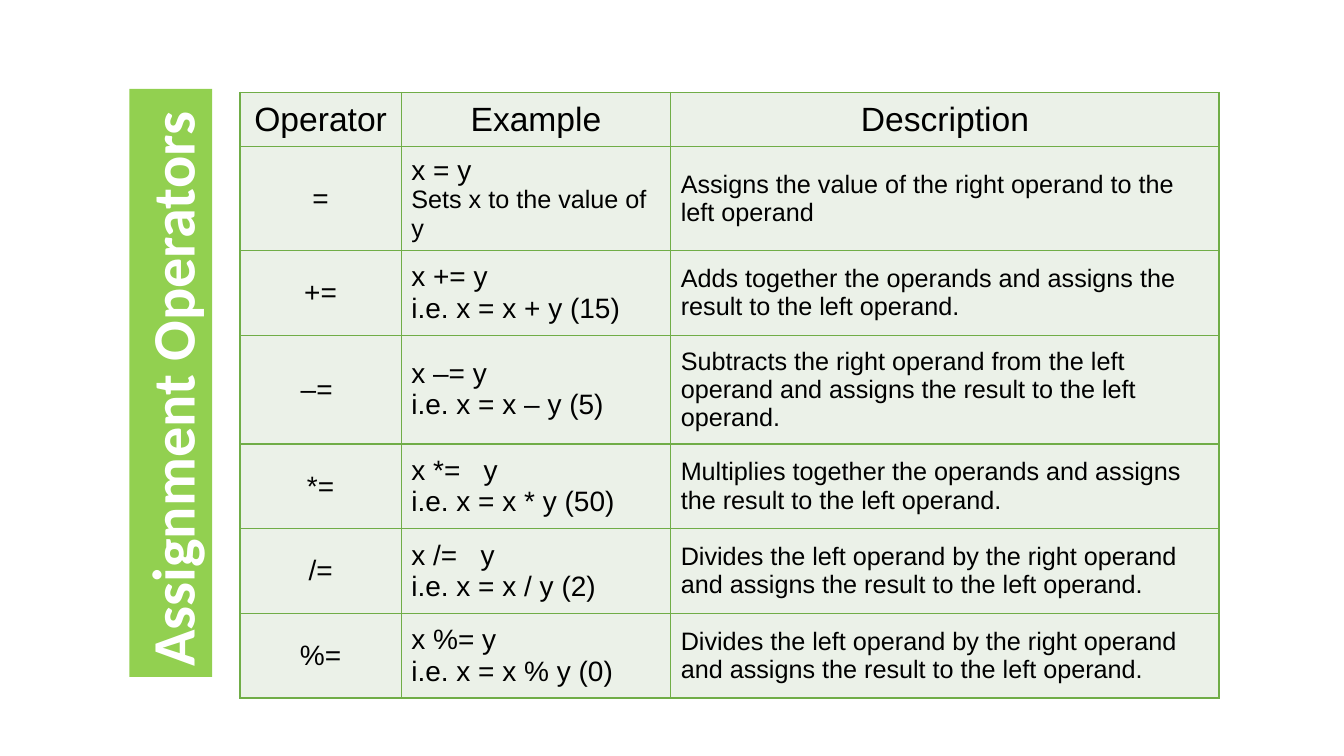
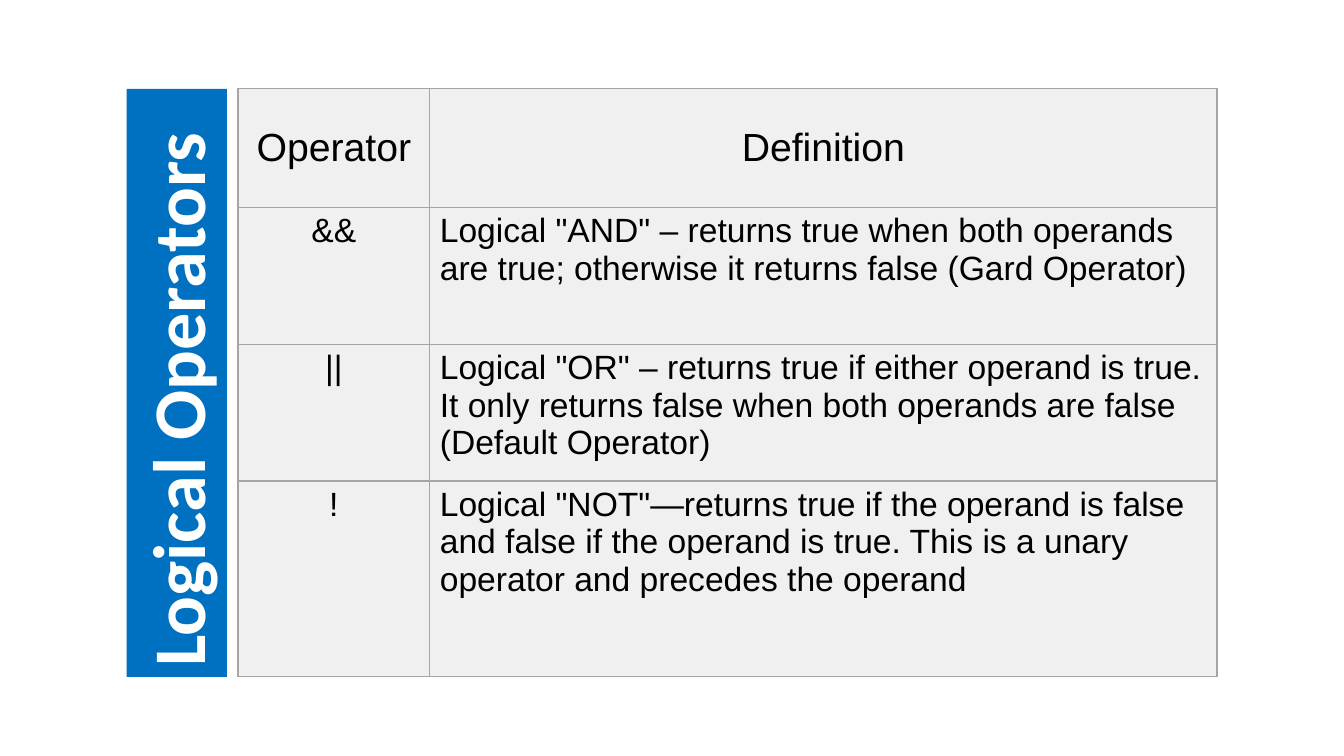
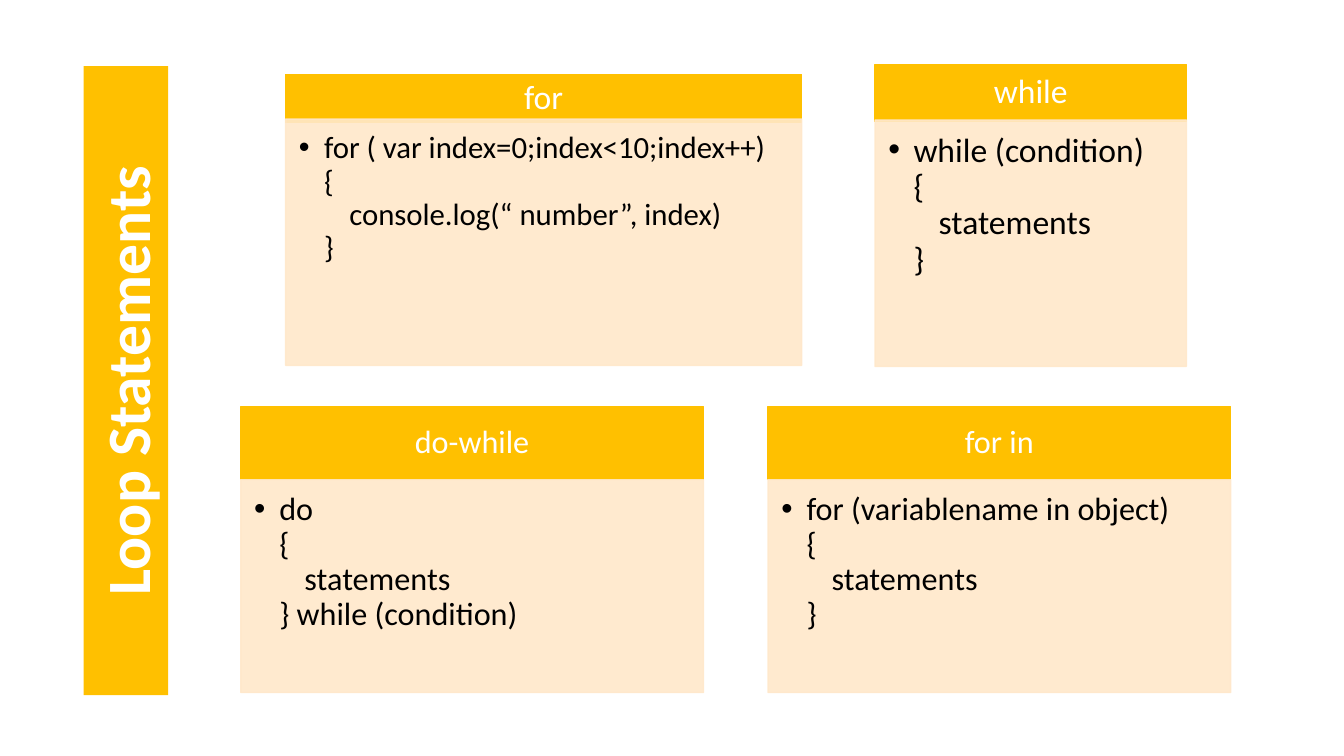
from lxml.etree import SubElement
from pptx import Presentation
from pptx.dml.color import RGBColor
from pptx.enum.shapes import MSO_SHAPE
from pptx.enum.text import MSO_ANCHOR, MSO_AUTO_SIZE, PP_ALIGN
from pptx.oxml.ns import qn
from pptx.util import Pt

BLACK, WHITE = "000000", "FFFFFF"
GREEN, LEAF, MINT = "92D050", "70AD47", "EBF1E8"
BLUE, GREY, PALE = "0070C0", "A5A5A5", "F0F0F0"
GOLD, CREAM = "FFC000", "FFE8CA"
HEAD, BODY = "Calibri", "Arial"
TOP, MID = MSO_ANCHOR.TOP, MSO_ANCHOR.MIDDLE
LEFT, MIDST = PP_ALIGN.LEFT, PP_ALIGN.CENTER

ASSIGN = [
    ("Operator", "Example", "Description"),
    ("=", "x = y\nSets x to the value of y",
     "Assigns the value of the right operand to the left operand"),
    ("+=", "x += y\ni.e. x = x + y (15)",
     "Adds together the operands and assigns the result to the left operand."),
    ("–= ", "x –= y\ni.e. x = x – y (5)",
     "Subtracts the right operand from the left operand and assigns "
     "the result to the left operand."),
    ("*=", "x *=   y\ni.e. x = x * y (50)",
     "Multiplies together the operands and assigns the result to the left operand."),
    ("/=", "x /=   y\ni.e. x = x / y (2)",
     "Divides the left operand by the right operand and assigns "
     "the result to the left operand."),
    ("%=", "x %= y\ni.e. x = x % y (0)",
     "Divides the left operand by the right operand and assigns "
     "the result to the left operand."),
]

LOGIC = [
    ("Operator", "Definition"),
    ("&&", 'Logical "AND" – returns true when both operands are true; '
           "otherwise it returns false (Gard Operator)"),
    ("||", 'Logical "OR" – returns true if either operand is true. It only returns '
           "false when both operands are false (Default Operator)"),
    ("!", 'Logical "NOT"—returns true if the operand is false and false if the '
          "operand is true. This is a unary operator and precedes the operand"),
]

# title, code, title size, code size, title box, code box
LOOPS = [
    ("do-while", "do\n{\n\tstatements\n} while (condition)", 23, 23,
     (172, 290.2, 330.5, 52), (172, 342.7, 330.5, 152)),
    ("for in", "for (variablename in object)\n{\n\tstatements\n}", 23, 23,
     (548.6, 290.2, 330.5, 52), (548.6, 342.7, 330.5, 152)),
    ("for", "for ( var index=0;index<10;index++)\n{\n"
            "\tconsole.log(“ number”, index)\n}", 24, 22,
     (204, 53, 368.6, 34.6), (204, 85, 368.6, 176)),
    ("while", "while (condition)\n{\n\tstatements\n}", 24, 24,
     (625, 46, 222.5, 41), (625, 85.7, 222.5, 176)),
]


def tint(hue):
    return RGBColor.from_string(hue)


def write(par, text, size, hue, face, bold=False):
    """Add text to a paragraph, with a line break at each newline."""
    for num, line in enumerate(text.split("\n")):
        if num:
            par.add_line_break()
        run = par.add_run()
        run.text = line
        font = run.font
        font.size, font.name, font.bold = Pt(size), face, bold
        font.color.rgb = tint(hue)


def start(deck, text, size, hue, box, align=LEFT):
    """Add a slide whose title reads upwards in a band that covers box."""
    slide = deck.slides.add_slide(deck.slide_layouts[5])
    left, top, wide, high = box
    title = slide.shapes.title
    title.left, title.top = Pt(left + (wide - high) / 2), Pt(top + (high - wide) / 2)
    title.width, title.height = Pt(high), Pt(wide)
    title.rotation = 270
    title.fill.solid()
    title.fill.fore_color.rgb = tint(hue)
    frame = title.text_frame
    frame.word_wrap, frame.auto_size = True, MSO_AUTO_SIZE.NONE
    frame.vertical_anchor = TOP
    par = frame.paragraphs[0]
    par.alignment = align
    write(par, text, size, WHITE, HEAD, True)
    return slide


def edge(cell, hue):
    """Draw a thin line on all four sides of a cell."""
    props = cell._tc.get_or_add_tcPr()
    for side in ("lnL", "lnR", "lnT", "lnB"):
        line = SubElement(props, qn("a:" + side), w=str(Pt(1)))
        fill = SubElement(line, qn("a:solidFill"))
        SubElement(fill, qn("a:srgbClr"), val=hue)


def grid(slide, data, spot, cols, rows, sizes, top_size, hues, anchor):
    """Add a table; sizes holds one text size per column below the top row."""
    line, back = hues
    table = slide.shapes.add_table(len(rows), len(cols), Pt(spot[0]), Pt(spot[1]),
                                   Pt(sum(cols)), Pt(sum(rows))).table
    table.first_row = table.horz_banding = False
    for col, wide in zip(table.columns, cols):
        col.width = Pt(wide)
    for row, high in zip(table.rows, rows):
        row.height = Pt(high)
    for r, texts in enumerate(data):
        for c, text in enumerate(texts):
            cell = table.cell(r, c)
            edge(cell, line)
            cell.fill.solid()
            cell.fill.fore_color.rgb = tint(back)
            cell.vertical_anchor = anchor if r else MID
            frame = cell.text_frame
            for num, part in enumerate(text.split("\n")):
                par = frame.add_paragraph() if num else frame.paragraphs[0]
                par.alignment = LEFT if r and c else MIDST
                write(par, part, sizes[c] if r else top_size, BLACK, BODY)
    return table


def block(slide, box, hue, pads, anchor, align):
    """Add a plain filled box; return the shape and its first paragraph."""
    shape = slide.shapes.add_shape(MSO_SHAPE.RECTANGLE, *map(Pt, box))
    shape.shadow.inherit = False
    shape.fill.solid()
    shape.fill.fore_color.rgb = shape.line.color.rgb = tint(hue)
    shape.line.width = Pt(1)
    frame = shape.text_frame
    frame.word_wrap, frame.vertical_anchor = True, anchor
    (frame.margin_left, frame.margin_top,
     frame.margin_right, frame.margin_bottom) = map(Pt, pads)
    par = frame.paragraphs[0]
    par.alignment, par.line_spacing = align, 0.9
    return shape, par


def fade(shape):
    """Make fill and line slightly see-through."""
    for mark in shape._element.spPr.iter(qn("a:srgbClr")):
        SubElement(mark, qn("a:alpha"), val="90000")


def dot(par):
    """Give a paragraph a black bullet and a hanging indent."""
    props = par._p.get_or_add_pPr()
    props.set("marL", str(Pt(18)))
    props.set("indent", str(Pt(-18)))
    hue = SubElement(props, qn("a:buClr"))
    SubElement(hue, qn("a:srgbClr"), val=BLACK)
    SubElement(props, qn("a:buFont"), typeface=BODY)
    SubElement(props, qn("a:buChar"), char="•")


def card(slide, name, code, name_size, code_size, name_box, code_box):
    _, par = block(slide, name_box, GOLD, (13, 7.5, 13, 7.5), MID, MIDST)
    write(par, name, name_size, WHITE, HEAD)
    shape, par = block(slide, code_box, CREAM, (9.5, 9.5, 13, 14), TOP, LEFT)
    fade(shape)
    dot(par)
    write(par, code, code_size, BLACK, HEAD)


def main():
    deck = Presentation()
    deck.slide_width, deck.slide_height = Pt(960), Pt(540)

    slide = start(deck, "Assignment Operators", 43, GREEN, (92.5, 63.5, 59, 420))
    table = grid(slide, ASSIGN, (171.4, 66), (115.2, 192.5, 391.7),
                 (38.9, 74, 60.5, 77.8, 60.5, 60.5, 60.5),
                 (20, 20, 18), 24, (LEAF, MINT), MID)
    note = table.cell(1, 1).text_frame.paragraphs[1]
    note.runs[0].font.size = Pt(18)

    slide = start(deck, "Logical Operators", 53, BLUE, (90.5, 63.5, 71.5, 420))
    grid(slide, LOGIC, (170, 63.2), (137, 562.3), (85, 97.7, 97.7, 139.7),
         (24, 24), 28, (GREY, PALE), TOP)

    slide = start(deck, "Loop Statements", 44, GOLD, (59.7, 47.2, 60.5, 449.3), MIDST)
    for loop in LOOPS:
        card(slide, *loop)

    deck.save("out.pptx")


if __name__ == "__main__":
    main()
